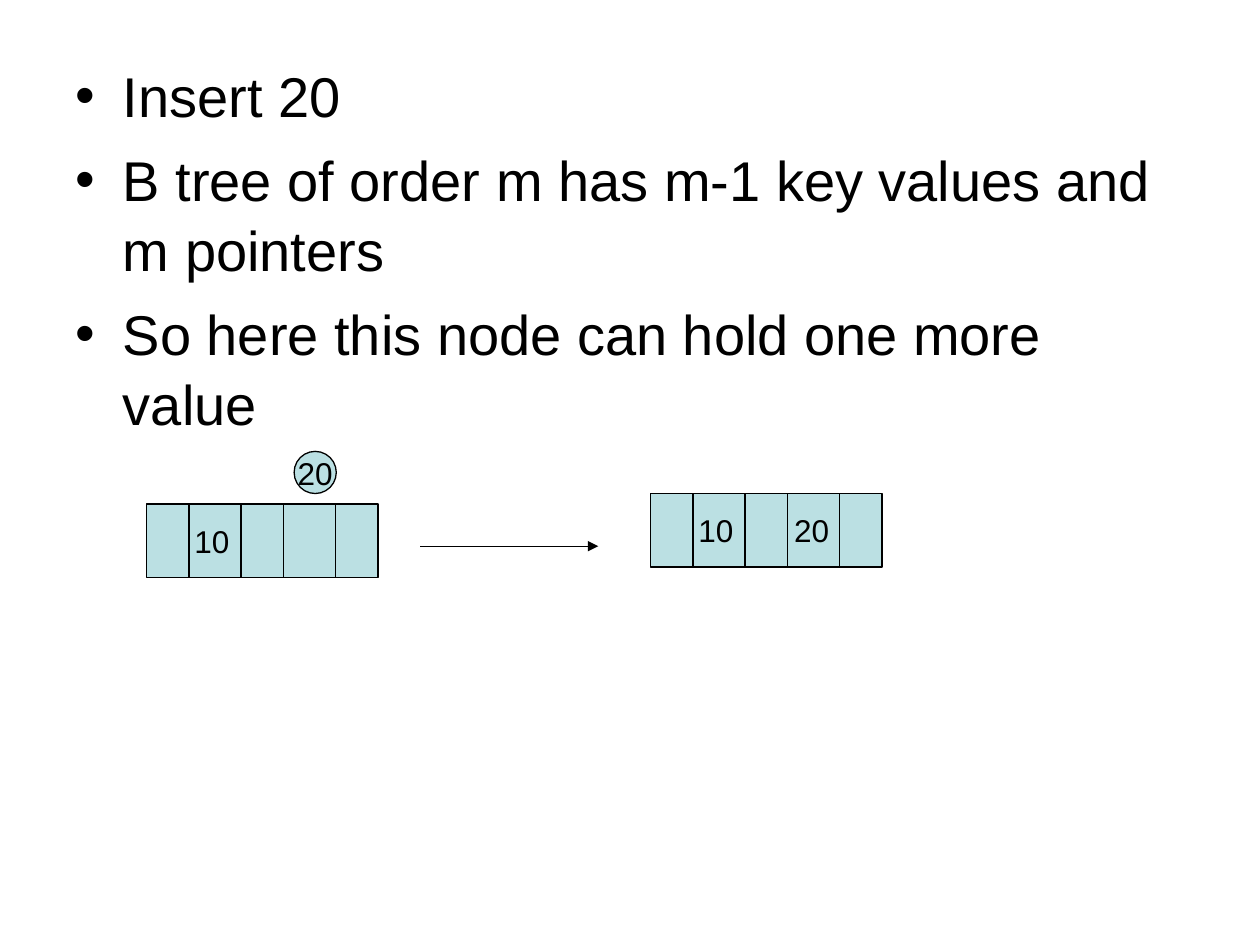
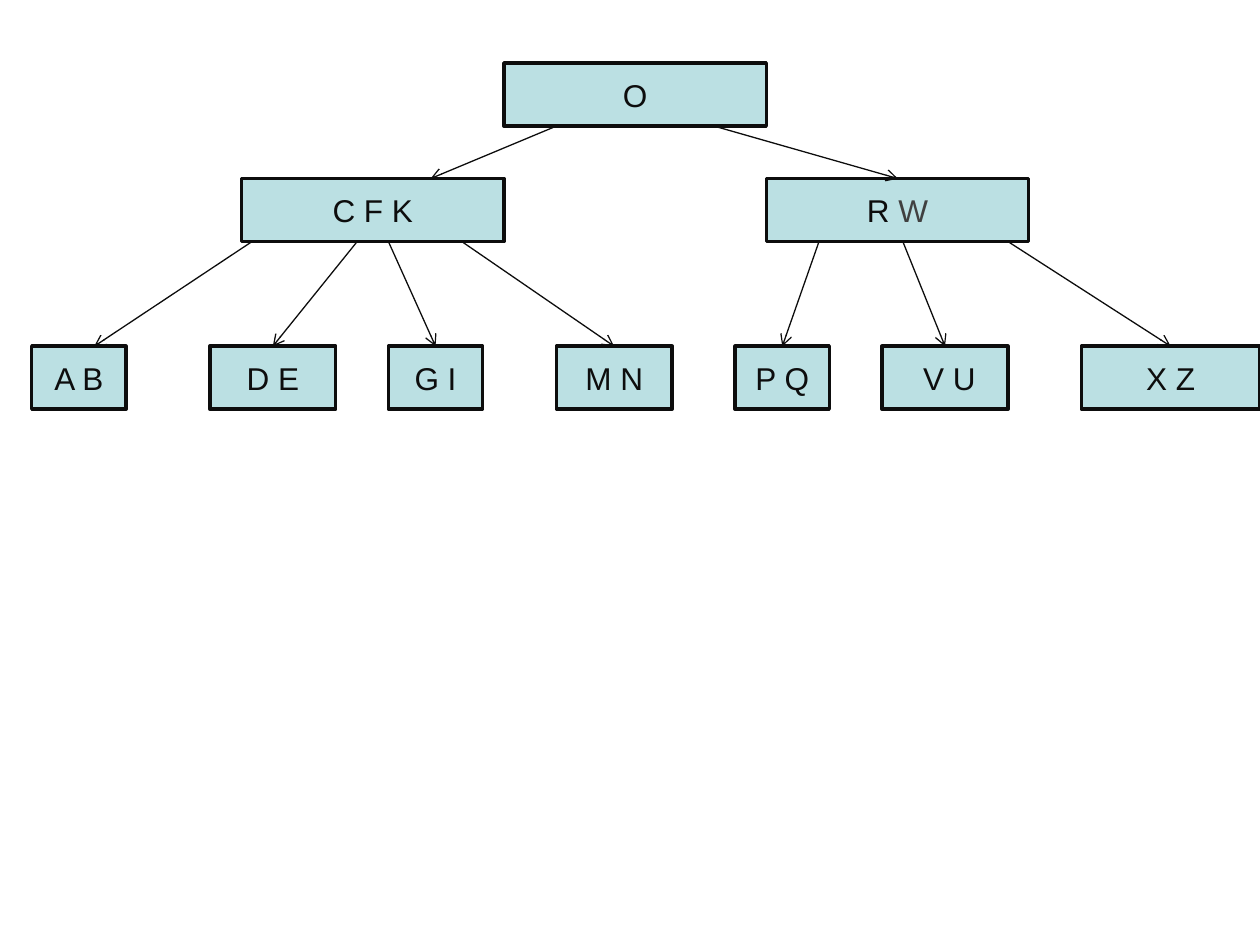
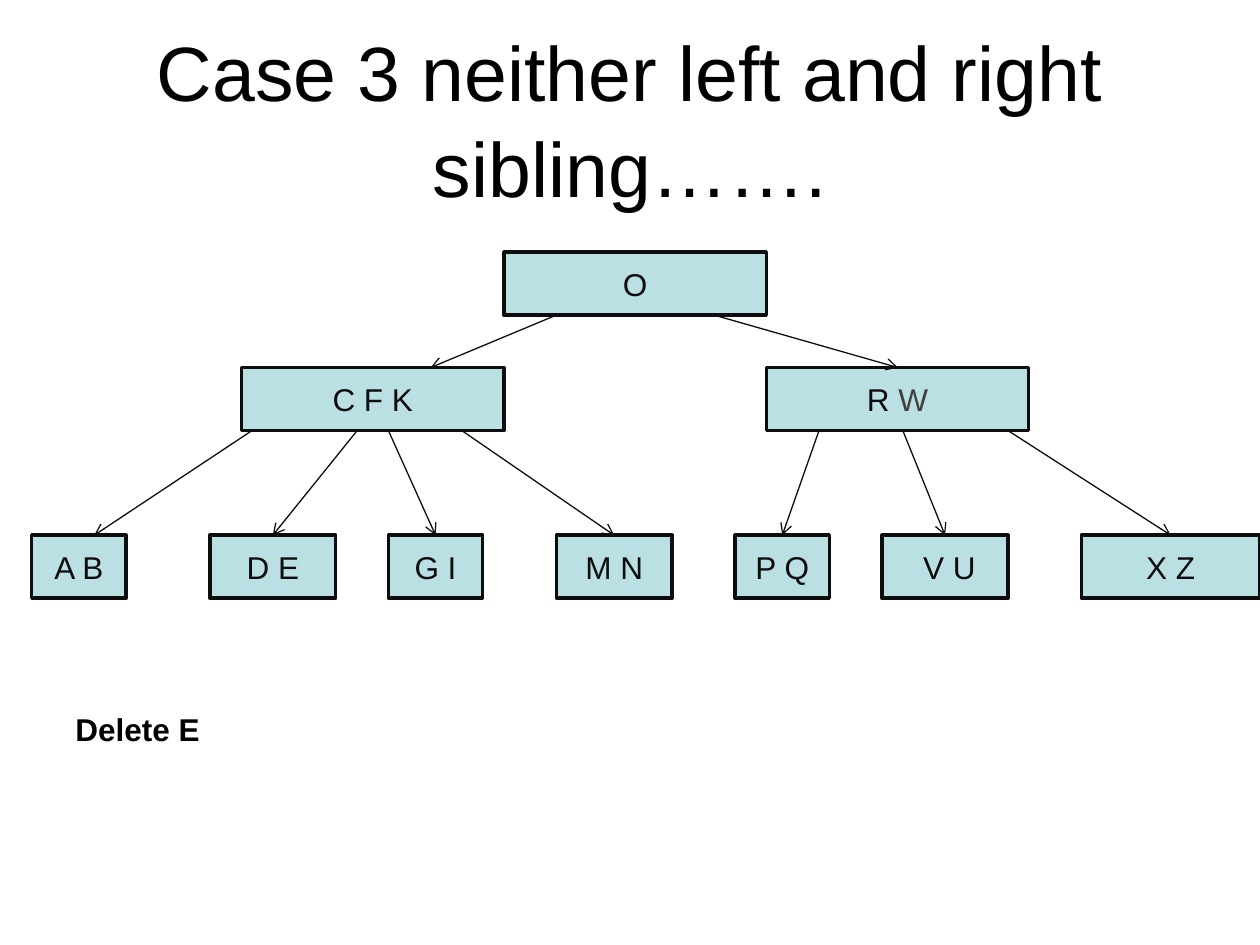
from lxml import etree
from pptx import Presentation
from pptx.dml.color import RGBColor
from pptx.enum import shapes, text
from pptx.oxml import ns
from pptx.util import Cm, Pt

BLACK = RGBColor(0x00, 0x00, 0x00)
INK = RGBColor(0x0D, 0x0D, 0x0D)
GREY = RGBColor(0x40, 0x40, 0x40)
AQUA = RGBColor(0xBB, 0xE0, 0xE3)
CENTER = text.PP_ALIGN.CENTER
RECT = shapes.MSO_SHAPE.RECTANGLE
STRAIGHT = shapes.MSO_CONNECTOR.STRAIGHT


def write(p, words, size=18, color=BLACK, bold=False, align=None):
    """Add a run to paragraph p."""
    p.alignment = align
    r = p.add_run()
    r.text = words
    r.font.name = "Arial"
    r.font.size = Pt(size)
    r.font.bold = bold
    r.font.color.rgb = color


def style(sp, color=BLACK, width=0.75, fill=None, head=None):
    """Outline a shape or connector, without shadow, with optional fill and arrowhead."""
    if fill is not None:
        sp.fill.solid()
        sp.fill.fore_color.rgb = fill
        sp.text_frame.vertical_anchor = text.MSO_ANCHOR.MIDDLE
    sp.line.color.rgb = color
    sp.line.width = Pt(width)
    if head:
        etree.SubElement(sp.line._get_or_add_ln(), ns.qn("a:tailEnd"), type=head)
    etree.SubElement(sp._element.spPr, ns.qn("a:effectLst"))


prs = Presentation()
prs.slide_width, prs.slide_height = Cm(25.4), Cm(19.05)
CONTENT, TITLE_ONLY, BLANK = (prs.slide_layouts[i] for i in (1, 5, 6))

# Slide 1: inserting a key into a node with room
s = prs.slides.add_slide(CONTENT)
s.shapes.title._element.getparent().remove(s.shapes.title._element)
body = s.placeholders[1]
body.left, body.top, body.width, body.height = Cm(1.27), Cm(1.06), Cm(22.86), Cm(12.57)
tf = body.text_frame
tf.auto_size = text.MSO_AUTO_SIZE.NONE
bullets = [
    "Insert 20",
    "B tree of order m has m-1 key values and m pointers",
    "So here this node can hold one more value",
]
for i, bullet in enumerate(bullets):
    p = tf.add_paragraph() if i else tf.paragraphs[0]
    p.space_before = Pt(8)
    p.line_spacing = 1.04
    write(p, bullet, size=32)

NODE_W, NODE_H = 4.66, 1.48
for x, y, keys in [(2.96, 10.16, "10"), (13.12, 9.95, "10\t20")]:
    node = s.shapes.add_shape(RECT, Cm(x), Cm(y), Cm(NODE_W), Cm(NODE_H))
    style(node, fill=AQUA)
    node.text_frame.margin_left = Cm(0.96)
    p = node.text_frame.paragraphs[0]
    write(p, keys, align=text.PP_ALIGN.LEFT)
    tabs = etree.SubElement(p._p.get_or_add_pPr(), ns.qn("a:tabLst"))
    etree.SubElement(tabs, ns.qn("a:tab"), pos=str(Cm(1.93)), algn="l")
    for dx in (0.85, 1.9, 2.75, 3.81):
        style(s.shapes.add_connector(STRAIGHT, Cm(x + dx), Cm(y), Cm(x + dx), Cm(y + NODE_H)))

new_key = s.shapes.add_shape(shapes.MSO_SHAPE.OVAL, Cm(5.93), Cm(9.1), Cm(0.85), Cm(0.85))
style(new_key, fill=AQUA)
new_key.text_frame.word_wrap = False
write(new_key.text_frame.paragraphs[0], "20", align=CENTER)
style(s.shapes.add_connector(STRAIGHT, Cm(8.47), Cm(11.01), Cm(12.06), Cm(11.01)),
      head="triangle")

# Slides 2 and 3: the same tree at two heights
BOX_H = 1.27
LEVELS = [  # offset from the root, then (keys, left, width) of each node
    (0, [("O", 10.16, 5.29)]),
    (2.33, [("C F K", 4.87, 5.29), ("R W", 15.45, 5.29)]),
    (5.71, [("A B", 0.64, 1.9), ("D E", 4.23, 2.54), ("G I", 7.83, 1.9),
            ("M N", 11.22, 2.33), ("P Q", 14.82, 1.9), (" V U", 17.78, 2.54),
            ("X Z", 21.8, 3.6)]),
]
EDGES = [  # (x at parent, x at child) between each pair of levels
    [(11.22, 8.68), (14.39, 18.1)],
    [(5.08, 1.9), (7.2, 5.5), (7.83, 8.78), (9.31, 12.38),
     (16.51, 15.77), (18.2, 19.05), (20.32, 23.6)],
]
for layout, root_y in [(BLANK, 1.27), (TITLE_ONLY, 5.08)]:
    s = prs.slides.add_slide(layout)
    for dy, nodes in LEVELS:
        for keys, x, w in nodes:
            box = s.shapes.add_shape(RECT, Cm(x), Cm(root_y + dy), Cm(w), Cm(BOX_H))
            style(box, INK, 2, fill=AQUA)
            p = box.text_frame.paragraphs[0]
            before, grey_key, _ = keys.partition("W")
            write(p, before, color=INK, align=CENTER)
            if grey_key:
                write(p, grey_key, color=GREY, align=CENTER)
    for (parent_dy, _), (child_dy, _), edges in zip(LEVELS, LEVELS[1:], EDGES):
        for x1, x2 in edges:
            style(s.shapes.add_connector(STRAIGHT, Cm(x1), Cm(root_y + parent_dy + BOX_H),
                                         Cm(x2), Cm(root_y + child_dy)),
                  INK, head="arrow")

# Slide 3 also names the case and the key to delete
title = s.shapes.title
title.left, title.top, title.width, title.height = Cm(1.27), Cm(0.76), Cm(22.86), Cm(3.18)
title.text_frame.auto_size = text.MSO_AUTO_SIZE.NONE
p = title.text_frame.paragraphs[0]
p.line_spacing = 1.04
write(p, "Case 3 neither left and right sibling…….", size=44, align=CENTER)
task = s.shapes.add_textbox(Cm(1.27), Cm(14.18), Cm(8.26), Cm(1.02))
task.text_frame.word_wrap = True
write(task.text_frame.paragraphs[0], "Delete E", bold=True)

prs.save("out.pptx")
